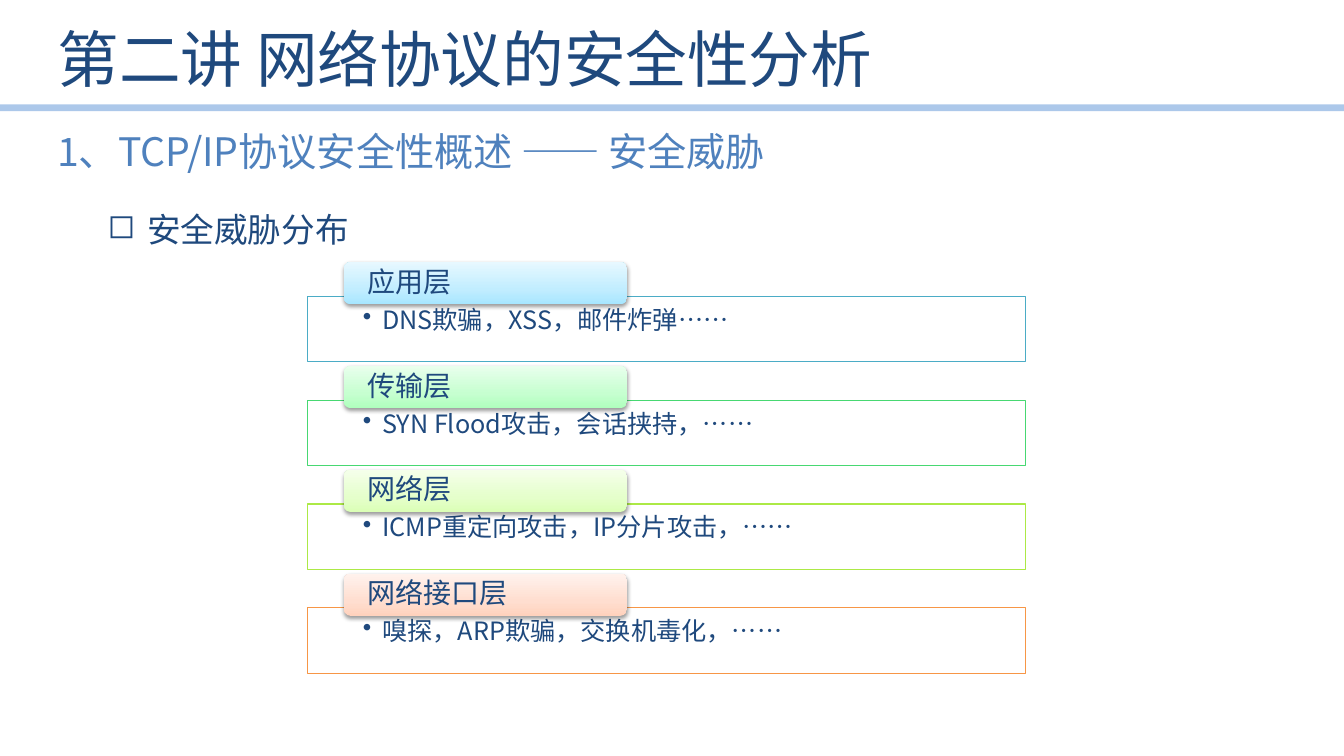
from lxml import etree
from pptx import Presentation
from pptx.dml.color import RGBColor
from pptx.enum.shapes import MSO_CONNECTOR, MSO_SHAPE
from pptx.enum.text import MSO_ANCHOR, PP_ALIGN
from pptx.oxml import parse_xml
from pptx.oxml.ns import nsdecls, qn
from pptx.util import Emu, Inches, Pt

STRAIGHT = MSO_CONNECTOR.STRAIGHT
RECTANGLE, ROUNDED = MSO_SHAPE.RECTANGLE, MSO_SHAPE.ROUNDED_RECTANGLE
TOP, MIDDLE, LEFT = MSO_ANCHOR.TOP, MSO_ANCHOR.MIDDLE, PP_ALIGN.LEFT

# Content
TITLE = "第二讲 网络协议的安全性分析"
SUBTITLE = "1、TCP/IP协议安全性概述 —— 安全威胁"
TOPIC = "安全威胁分布"
LAYERS = [  # name, threats, border, tab gradient from bottom to top
    ("应用层", "DNS欺骗，XSS，邮件炸弹……", "4BACC6", ("A7E6FF", "C1EDFF", "E7F8FF")),
    ("传输层", "SYN Flood攻击，会话挟持，……", "47D872", ("AFFFBD", "C6FFD0", "E9FFED")),
    ("网络层", "ICMP重定向攻击，IP分片攻击，……", "ACE946", ("DBFFB6", "E5FFCB", "F5FFEB")),
    ("网络接口层", "嗅探，ARP欺骗，交换机毒化，……", "F79646", ("FFD2BD", "FFDED0", "FFF2ED")),
]

THEME = {
    "font": "Noto Sans CJK SC",
    "text": "1F497D", "accent": "4F81BD", "rule": "8EB4E3", "card": "FFFFFF",
    "title": 44, "subtitle": 28, "topic": 24, "tab": 20, "threat": 18,
}

# Grid, in inches
SLIDE_WIDTH, SLIDE_HEIGHT = 13.33, 7.5
MARGIN, RULE_TOP = 0.47, 1.07
CARD_LEFT, CARD_TOP, CARD_WIDTH, CARD_HEIGHT = 3.05, 2.94, 7.12, 0.65
ROW_PITCH = 1.03
TAB_INDENT, TAB_RISE, TAB_WIDTH, TAB_HEIGHT = 0.36, 0.34, 2.81, 0.42
STOP_POSITIONS = (0, 35, 100)


def box(left, top, width, height):
    return [Inches(value) for value in (left, top, width, height)]


def write(shape, text, size, color="text", anchor=TOP, insets=(0.1, 0.05, 0.1, 0.05),
          bullet=None, hang=(0, 0), **spacing):
    frame = shape.text_frame
    sides = ("margin_left", "margin_top", "margin_right", "margin_bottom")
    frame_format = dict(zip(sides, map(Inches, insets)), word_wrap=True, vertical_anchor=anchor)
    for name, value in frame_format.items():
        setattr(frame, name, value)
    paragraph = frame.paragraphs[0]
    paragraph.text = text
    for name, value in {"alignment": LEFT, **spacing}.items():
        setattr(paragraph, name, value)
    if bullet:
        properties = paragraph._p.get_or_add_pPr()
        properties.set("marL", str(Inches(hang[0])))
        properties.set("indent", str(Inches(hang[1])))
        etree.SubElement(properties, qn("a:buChar")).set("char", bullet)
    font = paragraph.runs[0].font
    for name, value in {"name": THEME["font"], "size": Pt(THEME[size]), "bold": False}.items():
        setattr(font, name, value)
    font.color.rgb = RGBColor.from_string(THEME[color])
    east_asian = etree.SubElement(font._element, qn("a:ea"))
    east_asian.set("typeface", THEME["font"])


def fill_gradient(shape, colors):
    stops = "".join(
        f'<a:gs pos="{position * 1000}"><a:srgbClr val="{color}"/></a:gs>'
        for position, color in zip(STOP_POSITIONS, colors))
    shape._element.spPr.find(qn("a:prstGeom")).addnext(parse_xml(
        f'<a:gradFill {nsdecls("a")} rotWithShape="1"><a:gsLst>{stops}</a:gsLst>'
        '<a:lin ang="16200000" scaled="0"/></a:gradFill>'))


def add_shadow(shape):
    shape._element.spPr.append(parse_xml(
        f'<a:effectLst {nsdecls("a")}><a:outerShdw blurRad="{Pt(3.1)}" dist="{Pt(1.6)}" '
        'dir="5400000" rotWithShape="0"><a:srgbClr val="000000"><a:alpha val="38000"/>'
        '</a:srgbClr></a:outerShdw></a:effectLst>'))


def add_rule(slide):
    rule = slide.shapes.add_connector(
        STRAIGHT, Emu(0), Inches(RULE_TOP), Inches(SLIDE_WIDTH), Inches(RULE_TOP))
    rule.line.width = Pt(4.75)
    rule.line.color.rgb = RGBColor.from_string(THEME["rule"])
    color = rule.line._ln.find(".//" + qn("a:srgbClr"))
    etree.SubElement(color, qn("a:alpha")).set("val", "73000")
    etree.SubElement(rule._element.spPr, qn("a:effectLst"))


def add_layer(slide, row, name, threats, border, gradient):
    top = CARD_TOP + row * ROW_PITCH
    card = slide.shapes.add_shape(RECTANGLE, *box(CARD_LEFT, top, CARD_WIDTH, CARD_HEIGHT))
    card.shadow.inherit = False
    card.fill.solid()
    card.fill.fore_color.rgb = RGBColor.from_string(THEME["card"])
    card.line.color.rgb = RGBColor.from_string(border)
    card.line.width = Pt(0.75)
    write(card, threats, "threat", insets=(0.55, 0.11, 0.55, 0.14),
          bullet="•", hang=(0.19, -0.19), line_spacing=0.9)

    tab = slide.shapes.add_shape(ROUNDED, *box(
        CARD_LEFT + TAB_INDENT, top - TAB_RISE, TAB_WIDTH, TAB_HEIGHT))
    fill_gradient(tab, gradient)
    tab.line.fill.background()
    add_shadow(tab)
    write(tab, name, "tab", anchor=MIDDLE, insets=(0.21, 0, 0.21, 0), line_spacing=0.9)


def main():
    presentation = Presentation()
    presentation.slide_width = Inches(SLIDE_WIDTH)
    presentation.slide_height = Inches(SLIDE_HEIGHT)
    slide = presentation.slides.add_slide(presentation.slide_layouts[5])

    # Headings
    add_rule(slide)
    title = slide.shapes.title
    title.left, title.top, title.width, title.height = box(MARGIN, 0.09, 11.02, 0.97)
    write(title, TITLE, "title", anchor=MIDDLE)
    topic = slide.shapes.add_textbox(*box(MARGIN, 1.94, 12.28, 0.6))
    write(topic, TOPIC, "topic", bullet="◻", hang=(0.89, -0.39), line_spacing=1.2)
    subtitle = slide.shapes.add_textbox(*box(MARGIN, 1.21, 7.46, 0.57))
    write(subtitle, SUBTITLE, "subtitle", color="accent")

    # Protocol layers
    for row, layer in enumerate(LAYERS):
        add_layer(slide, row, *layer)

    presentation.save("out.pptx")


if __name__ == "__main__":
    main()
